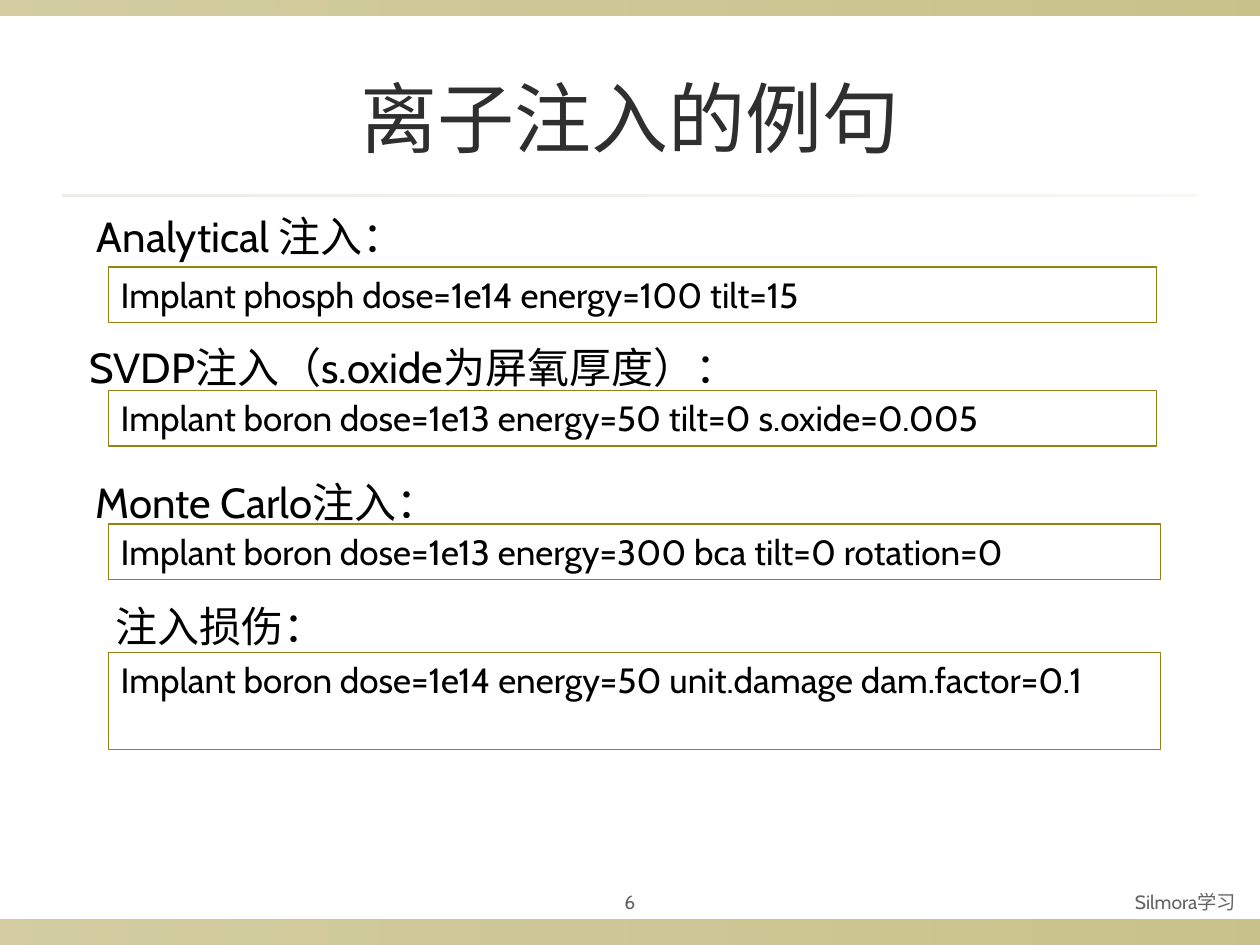
import pptx
import pptx.util
import pptx.dml.color
import pptx.enum.shapes
import pptx.enum.text
import lxml.etree

RGB = pptx.dml.color.RGBColor
ALIGN = pptx.enum.text.PP_ALIGN
ANCHOR = pptx.enum.text.MSO_ANCHOR
OLIVE = RGB(0x91, 0x84, 0x15)
SAND = RGB(0xDC, 0xD9, 0xCC)
DARK = RGB(0x2F, 0x2F, 0x2F)
GREY = RGB(0x63, 0x63, 0x63)
BLACK = RGB(0, 0, 0)
COLS, ROWS = 100, 75


class Deck:
    """Draws styled elements on a slide with a grid of 100 columns by 75 rows."""

    def __init__(self):
        self.prs = pptx.Presentation()
        self.prs.slide_width = pptx.util.Inches(10)
        self.prs.slide_height = pptx.util.Inches(7.5)
        self.slide = self.prs.slides.add_slide(self.prs.slide_layouts[6])
        self.font = "Cabin"

    def place(self, col, row, wide, high):
        dx, dy = self.prs.slide_width / COLS, self.prs.slide_height / ROWS
        return [round(n) for n in (col * dx, row * dy, wide * dx, high * dy)]

    def rect(self, *spot):
        kind = pptx.enum.shapes.MSO_SHAPE.RECTANGLE
        shape = self.slide.shapes.add_shape(kind, *self.place(*spot))
        shape.shadow.inherit = False
        return shape

    def band(self, spot, color, alphas):
        shape = self.rect(*spot)
        shape.line.fill.background()
        shape.fill.gradient()
        shape.fill.gradient_angle = 0
        for stop, place in zip(shape.fill.gradient_stops, (0, 1)):
            stop.position = place
            stop.color.rgb = color
        tags = shape._element.spPr.iter(pptx.oxml.ns.qn("a:srgbClr"))
        for tag, alpha in zip(tags, alphas):
            node = lxml.etree.SubElement(tag, pptx.oxml.ns.qn("a:alpha"))
            node.set("val", str(alpha * 1000))

    def style(self, shape, text, size, color, align, anchor, wrap=True):
        frame = shape.text_frame
        frame.text = text
        frame.word_wrap = wrap
        frame.vertical_anchor = anchor
        para = frame.paragraphs[0]
        para.alignment = align
        for run in para.runs:
            run.font.size = pptx.util.Pt(size)
            run.font.name = self.font
            run.font.color.rgb = color

    def text(self, spot, text, size, color, align, anchor=ANCHOR.MIDDLE, wrap=True):
        box = self.slide.shapes.add_textbox(*self.place(*spot))
        self.style(box, text, size, color, align, anchor, wrap)

    def label(self, spot, text):
        self.text(spot, text, 24, BLACK, ALIGN.LEFT, ANCHOR.TOP, False)

    def code(self, spot, text):
        shape = self.rect(*spot)
        shape.fill.background()
        shape.line.color.rgb = OLIVE
        shape.line.width = pptx.util.Pt(0.75)
        self.style(shape, text, 20, BLACK, ALIGN.LEFT, ANCHOR.TOP)


def main():
    deck = Deck()
    deck.band((0, 73, 100, 2), OLIVE, (40, 50))
    deck.band((0, 0, 100, 1.2), OLIVE, (40, 50))
    deck.band((5, 15.4, 90, 0.2), SAND, (50, 20))
    deck.text((5, 3, 90, 12.5), "离子注入的例句", 44, DARK, ALIGN.CENTER)
    deck.text((45, 70, 10, 3.1), "6", 11, GREY, ALIGN.CENTER)
    deck.text((58.3, 70, 40.8, 3.1), "Silmora学习", 11, GREY, ALIGN.RIGHT)

    steps = [
        ((6.7, 16.2, 28.7, 5), "Analytical 注入：",
         (8.6, 21.2, 83.2, 4.4), "Implant phosph dose=1e14 energy=100 tilt=15"),
        ((6.1, 26.6, 57, 5), "SVDP注入（s.oxide为屏氧厚度）：",
         (8.6, 31, 83.2, 4.4), "Implant boron dose=1e13 energy=50 tilt=0 s.oxide=0.005"),
        ((6.6, 37.3, 32.1, 5), "Monte Carlo注入：",
         (8.6, 41.6, 83.5, 4.4), "Implant boron dose=1e13 energy=300 bca tilt=0 rotation=0"),
        ((8.2, 47.2, 18.6, 5), "注入损伤：",
         (8.6, 51.8, 83.5, 7.7), "Implant boron dose=1e14 energy=50 unit.damage dam.factor=0.1"),
    ]
    for head, name, spot, line in steps:
        deck.code(spot, line)
        deck.label(head, name)
    deck.prs.save("out.pptx")


if __name__ == "__main__":
    main()
